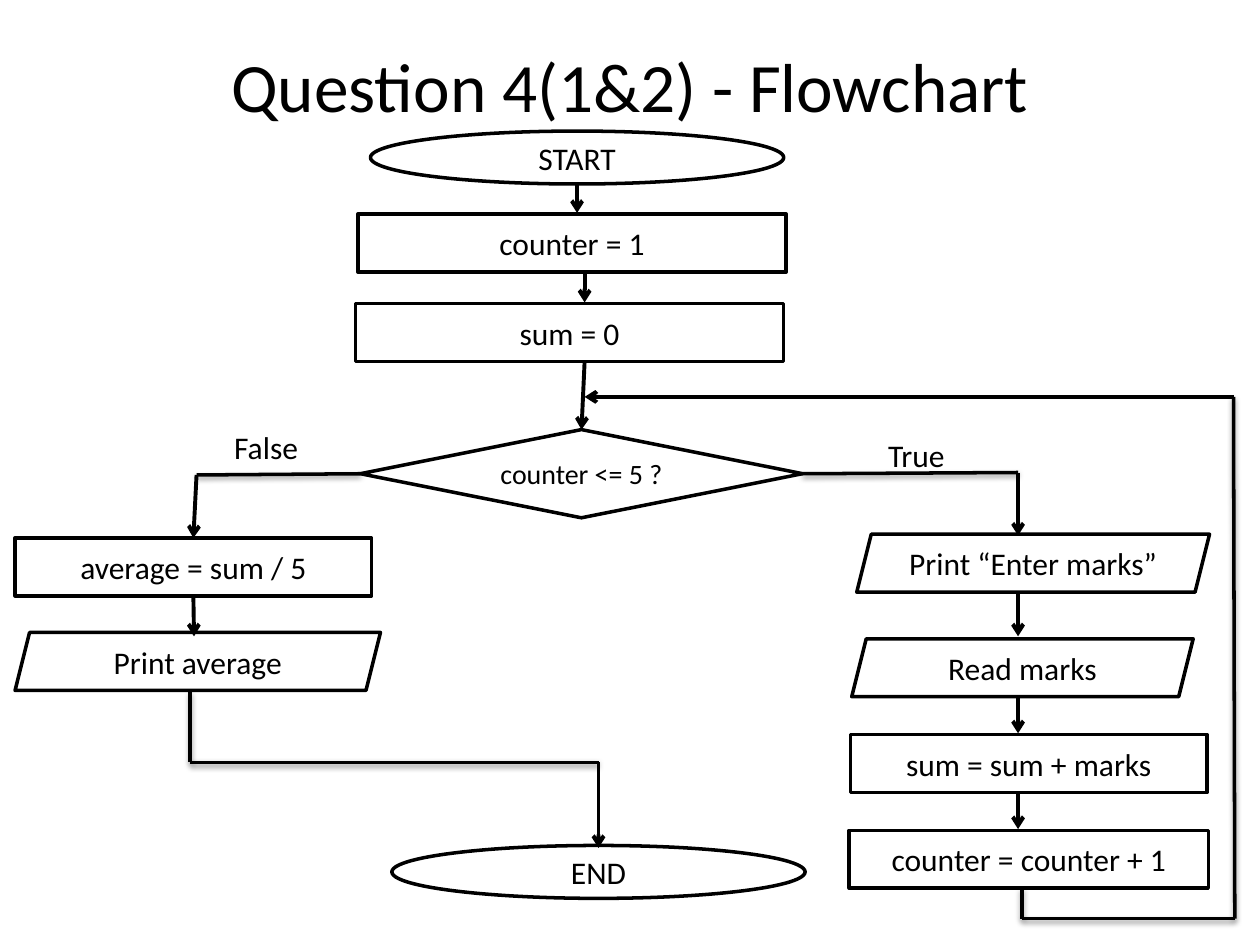
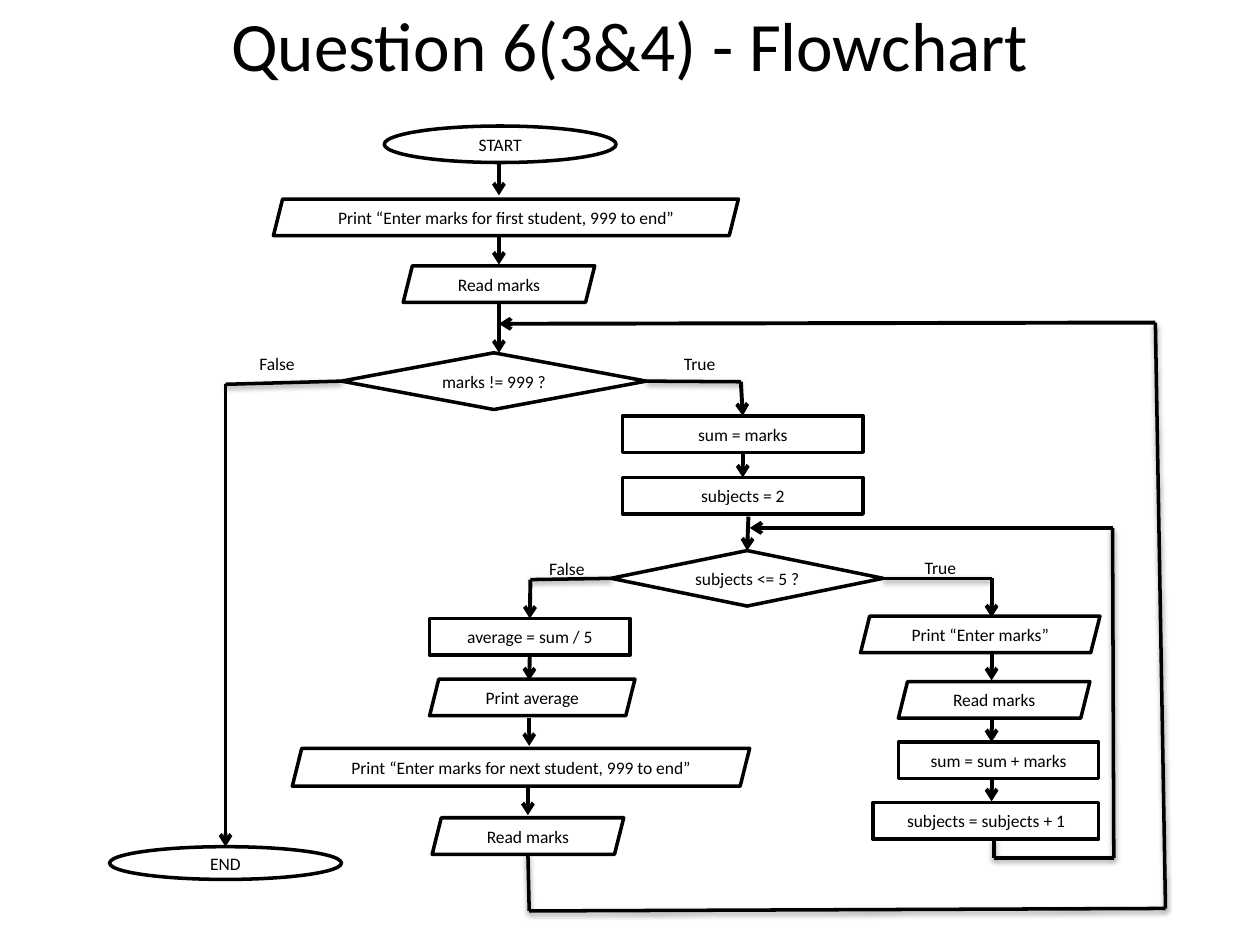
"""Build two flowchart slides for the marks-averaging exercises."""
from lxml import etree
from pptx import Presentation
from pptx import util as u
from pptx.dml.color import RGBColor
from pptx.enum import shapes, text
from pptx.oxml import ns

BLACK = RGBColor(0x00, 0x00, 0x00)
WHITE = RGBColor(0xFF, 0xFF, 0xFF)
FONT = "Calibri"
TITLE_SIZE = 39.6
SNAP = u.Inches(0.03)

TERMINAL = shapes.MSO_SHAPE.OVAL
PROCESS = shapes.MSO_SHAPE.RECTANGLE
DECISION = shapes.MSO_SHAPE.DIAMOND
IN_OUT = shapes.MSO_SHAPE.PARALLELOGRAM


def style_text(tf, size, align):
    """Format every run of a text frame."""
    for p in tf.paragraphs:
        p.alignment = align
        for r in p.runs:
            r.font.name = FONT
            r.font.size = u.Pt(size)
            r.font.color.rgb = BLACK


def add_title(s, title, top, height):
    """Fill and place the title placeholder."""
    sp = s.shapes.title
    sp.left, sp.top = u.Inches(0.5), u.Inches(top)
    sp.width, sp.height = u.Inches(9), u.Inches(height)
    tf = sp.text_frame
    tf.text = title
    tf.vertical_anchor = text.MSO_ANCHOR.MIDDLE
    style_text(tf, TITLE_SIZE, text.PP_ALIGN.CENTER)


def add_node(s, kind, label, x, y, w, h, size):
    """Add one outlined flowchart symbol and return it."""
    sp = s.shapes.add_shape(kind, u.Inches(x), u.Inches(y), u.Inches(w), u.Inches(h))
    sp.shadow.inherit = False
    if kind == TERMINAL:
        sp.fill.solid()
        sp.fill.fore_color.rgb = WHITE
    else:
        sp.fill.background()
    sp.line.color.rgb = BLACK
    sp.line.width = u.Pt(2)
    tf = sp.text_frame
    tf.text = label
    tf.word_wrap = True
    tf.margin_left = tf.margin_right = tf.margin_top = tf.margin_bottom = 0
    tf.vertical_anchor = text.MSO_ANCHOR.MIDDLE
    style_text(tf, size, text.PP_ALIGN.CENTER)
    return sp


def add_label(s, label, x, y, w, h, size):
    """Add the answer written on a branch."""
    sp = s.shapes.add_textbox(u.Inches(x), u.Inches(y), u.Inches(w), u.Inches(h))
    tf = sp.text_frame
    tf.text = label
    tf.word_wrap = True
    tf.auto_size = text.MSO_AUTO_SIZE.SHAPE_TO_FIT_TEXT
    style_text(tf, size, text.PP_ALIGN.LEFT)


def find_site(targets, point):
    """Return the symbol and side whose middle lies at a point, if any."""
    px, py = map(u.Inches, point)
    for sp in targets:
        mid_x, mid_y = sp.left + sp.width // 2, sp.top + sp.height // 2
        sites = [(mid_x, sp.top), (sp.left, mid_y),
                 (mid_x, sp.top + sp.height), (sp.left + sp.width, mid_y)]
        for side, (x, y) in enumerate(sites):
            if abs(x - px) <= SNAP and abs(y - py) <= SNAP:
                return sp, side
    return None


def add_line(s, start, end, targets, arrow):
    """Add a shadowed line or a plain arrow, joined to symbols it meets."""
    c = s.shapes.add_connector(shapes.MSO_CONNECTOR.STRAIGHT,
                               *map(u.Inches, start + end))
    c.line.color.rgb = BLACK
    c.line.width = u.Pt(2.25 if arrow else 2)
    effects = etree.SubElement(c._element.spPr, ns.qn("a:effectLst"))
    if arrow:
        etree.SubElement(c.line._get_or_add_ln(), ns.qn("a:tailEnd"), type="arrow")
    else:
        shadow = etree.SubElement(effects, ns.qn("a:outerShdw"), blurRad=str(u.Pt(3.1)),
                                  dist=str(u.Pt(1.6)), dir="5400000", rotWithShape="0")
        colour = etree.SubElement(shadow, ns.qn("a:srgbClr"), val=str(BLACK))
        etree.SubElement(colour, ns.qn("a:alpha"), val="38000")
    for point, join in ((start, c.begin_connect), (end, c.end_connect)):
        site = find_site(targets, point)
        if site:
            join(*site)


def add_route(s, points, targets):
    """Draw a bent path whose last stretch carries the arrowhead."""
    for i in range(len(points) - 1):
        add_line(s, points[i], points[i + 1], targets, i == len(points) - 2)


def add_flowchart(prs, title, title_box, sizes, label_height, nodes, labels, drops, routes):
    """Add a slide with symbols, branch labels, downward arrows and bent paths."""
    s = prs.slides.add_slide(prs.slide_layouts[5])
    add_title(s, title, *title_box)
    size, decision_size = sizes
    targets = []
    for kind, *node in nodes:
        sp = add_node(s, kind, *node, decision_size if kind == DECISION else size)
        if kind in (PROCESS, DECISION):
            targets.append(sp)
    for label, x, y, w in labels:
        add_label(s, label, x, y, w, label_height, size)
    for x, top, bottom in drops:
        add_line(s, (x, top), (x, bottom), targets, True)
    for points in routes:
        add_route(s, points, targets)


def add_counter_chart(prs):
    """Add the flowchart that averages five marks."""
    h = 0.46
    add_flowchart(
        prs, "Question 4(1&2) - Flowchart", (0.3, 0.74), (18, 16), 0.4,
        nodes=[
            (TERMINAL, "START", 2.94, 1.04, 3.28, 0.42),
            (PROCESS, "counter = 1", 2.84, 1.7, 3.4, h),
            (PROCESS, "sum = 0", 2.82, 2.41, 3.4, h),
            (DECISION, "counter <= 5 ?", 2.86, 3.41, 3.51, 0.7),
            (IN_OUT, "Print “Enter marks”", 6.8, 4.24, 2.8, h),
            (IN_OUT, "Read marks", 6.76, 5.07, 2.71, h),
            (PROCESS, "sum = sum + marks", 6.75, 5.83, 2.83, h),
            (PROCESS, "counter = counter + 1", 6.74, 6.59, 2.85, h),
            (PROCESS, "average = sum / 5", 0.12, 4.27, 2.83, h),
            (IN_OUT, "Print average", 0.12, 5.02, 2.9, h),
            (TERMINAL, "END", 3.11, 6.71, 3.28, 0.42),
        ],
        labels=[("True", 6.95, 3.41, 0.75), ("False", 1.76, 3.35, 0.75)],
        drops=[
            (4.58, 1.45, 1.69), (4.64, 2.16, 2.4), (4.64, 2.87, 3.43),
            (8.08, 4.7, 5.05), (8.08, 5.53, 5.82), (8.08, 6.28, 6.58),
            (1.54, 4.75, 5.05),
        ],
        routes=[
            [(6.38, 3.75), (8.08, 3.75), (8.08, 4.25)],
            [(2.87, 3.75), (1.56, 3.77), (1.56, 4.27)],
            [(1.51, 5.49), (1.51, 6.05), (4.75, 6.05), (4.75, 6.73)],
            [(8.11, 7.05), (8.11, 7.29), (9.8, 7.29), (9.79, 3.15), (4.64, 3.15)],
        ])


def add_sentinel_chart(prs):
    """Add the flowchart that repeats for each student until 999."""
    h = 0.29
    add_flowchart(
        prs, "Question 6(3&4) - Flowchart", (0.09, 0.52), (10, 10), 0.2,
        nodes=[
            (TERMINAL, "START", 3.05, 1, 1.84, h),
            (IN_OUT, "Print “Enter marks for first student, 999 to end”", 2.17, 1.58, 3.69, h),
            (IN_OUT, "Read marks", 3.2, 2.11, 1.52, h),
            (DECISION, "marks != 999 ?", 2.71, 2.8, 2.42, 0.45),
            (PROCESS, "sum = marks", 4.94, 3.3, 1.91, h),
            (PROCESS, "subjects = 2", 4.94, 3.79, 1.91, h),
            (DECISION, "subjects <= 5 ?", 4.85, 4.37, 2.16, 0.44),
            (IN_OUT, "Print “Enter marks”", 6.83, 4.89, 1.9, h),
            (IN_OUT, "Read marks", 7.13, 5.41, 1.52, h),
            (PROCESS, "sum = sum + marks", 7.13, 5.89, 1.59, h),
            (PROCESS, "subjects = subjects + 1", 6.93, 6.37, 1.79, h),
            (PROCESS, "average = sum / 5", 3.41, 4.91, 1.59, h),
            (IN_OUT, "Print average", 3.41, 5.39, 1.63, h),
            (IN_OUT, "Print “Enter marks for next student, 999 to end”", 2.32, 5.94, 3.63, 0.3),
            (IN_OUT, "Read marks", 3.43, 6.49, 1.52, h),
            (TERMINAL, "END", 0.87, 6.72, 1.84, 0.26),
        ],
        labels=[
            ("True", 5.33, 2.75, 0.61), ("False", 1.96, 2.75, 0.66),
            ("True", 7.24, 4.37, 0.61), ("False", 4.26, 4.38, 0.66),
        ],
        drops=[
            (3.96, 1.29, 1.55), (3.96, 1.88, 2.1), (3.96, 2.4, 2.8),
            (5.9, 3.59, 3.79), (5.94, 4.1, 4.39),
            (7.87, 5.18, 5.4), (7.87, 5.7, 5.89), (7.87, 6.18, 6.36),
            (4.2, 5.22, 5.4), (4.2, 5.7, 5.92), (4.19, 6.25, 6.47),
        ],
        routes=[
            [(5.13, 3.02), (5.88, 3.03), (5.88, 3.27)],
            [(2.71, 3.03), (1.79, 3.05), (1.79, 6.72)],
            [(7.01, 4.59), (7.87, 4.59), (7.87, 4.9)],
            [(4.85, 4.59), (4.21, 4.6), (4.21, 4.91)],
            [(7.89, 6.66), (7.89, 6.81), (8.84, 6.81), (8.83, 4.19), (5.95, 4.19)],
            [(4.19, 6.78), (4.2, 7.23), (9.25, 7.21), (9.17, 2.56), (3.96, 2.57)],
        ])


def main():
    """Build and save the presentation."""
    prs = Presentation()
    prs.slide_width, prs.slide_height = u.Inches(10), u.Inches(7.5)
    add_counter_chart(prs)
    add_sentinel_chart(prs)
    prs.save("out.pptx")


if __name__ == "__main__":
    main()
